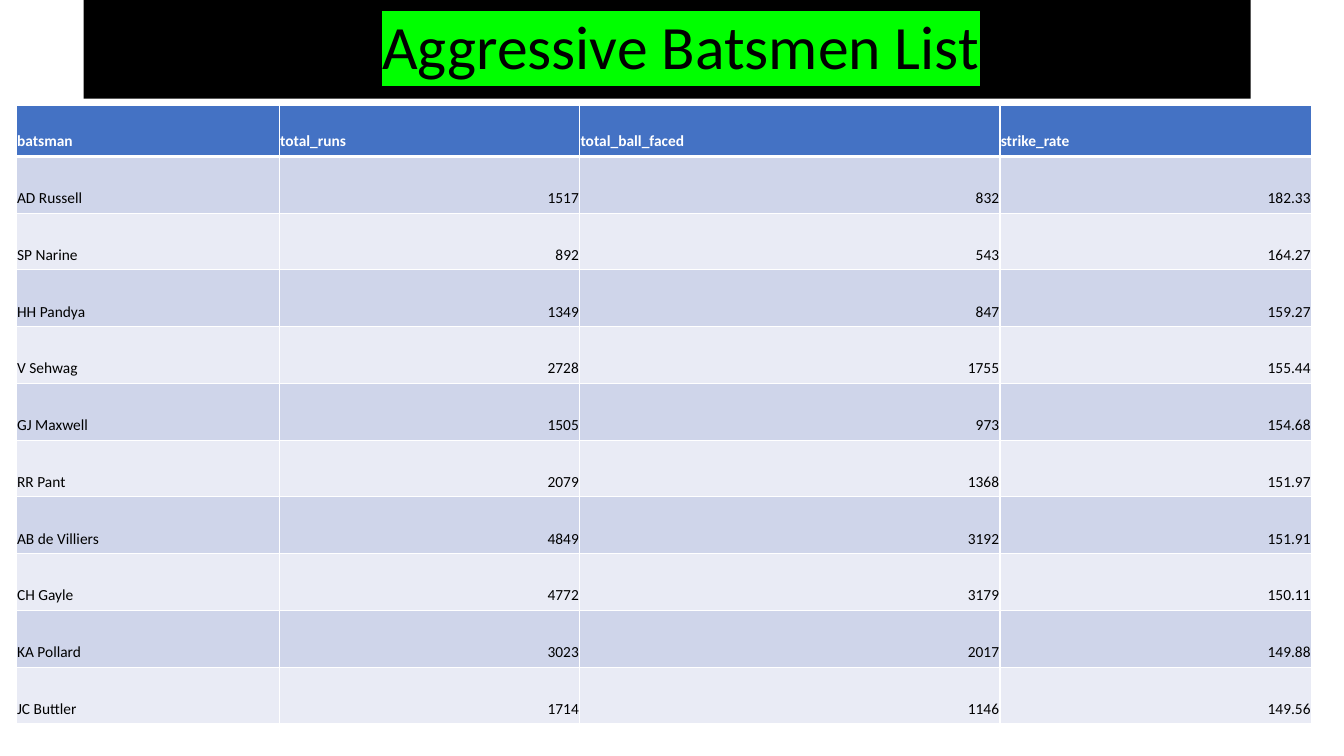
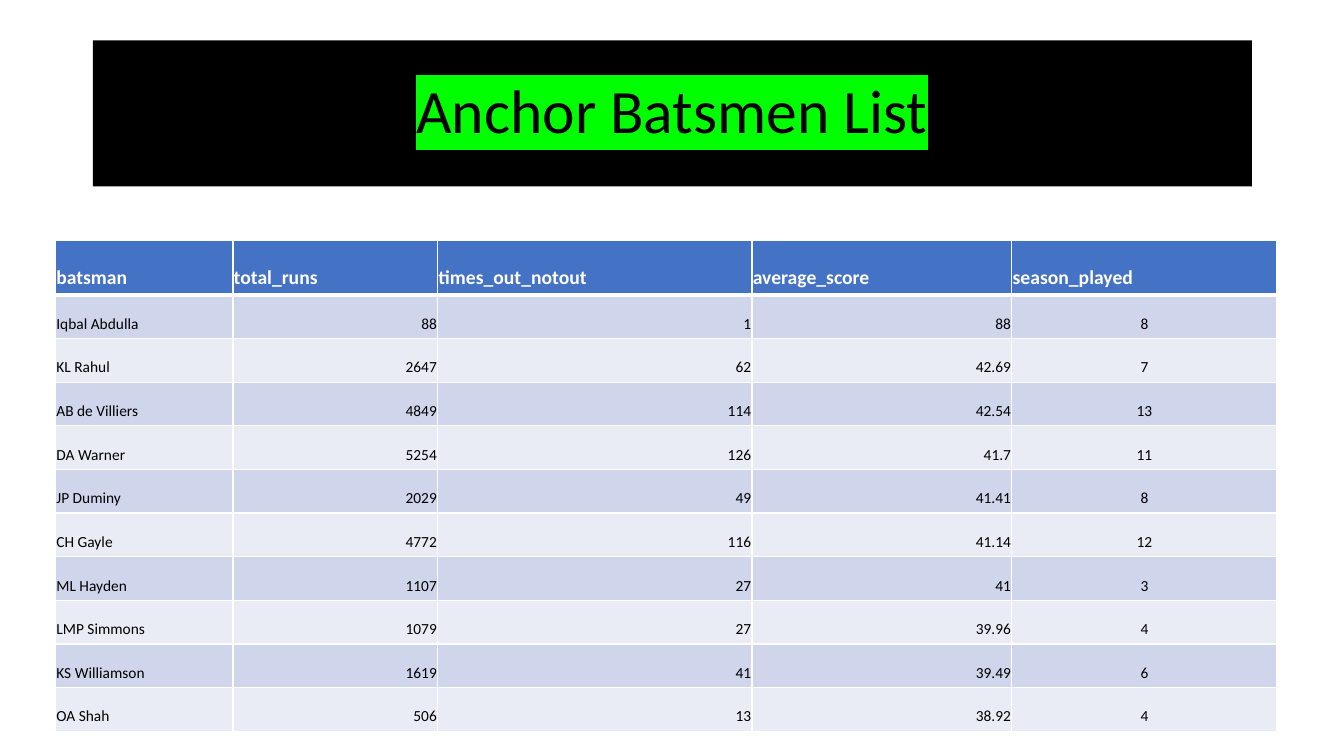
from lxml import etree
from pptx import Presentation
from pptx import util as u
from pptx.dml.color import RGBColor
from pptx.enum import shapes, text
from pptx.oxml import ns

# Shared look
BLACK = RGBColor(0x00, 0x00, 0x00)
WHITE = RGBColor(0xFF, 0xFF, 0xFF)
HIGHLIGHT = RGBColor(0x00, 0xFF, 0x00)
HEADER = RGBColor(0x44, 0x72, 0xC4)
BANDS = (RGBColor(0xCF, 0xD5, 0xEA), RGBColor(0xE9, 0xEB, 0xF5))

LEFT, CENTER, RIGHT = (text.PP_ALIGN.LEFT, text.PP_ALIGN.CENTER,
                       text.PP_ALIGN.RIGHT)
TITLE_FONT = {"name": "Calibri", "size": u.Pt(44), "bold": False}
HEADER_FONT = {"name": "Calibri", "bold": True}
BODY_FONT = {"name": "Calibri", "size": u.Pt(11), "bold": False}
CELL_FORMAT = {
    "vertical_anchor": text.MSO_ANCHOR.BOTTOM,
    "margin_left": u.Cm(0.02), "margin_right": u.Cm(0.02),
    "margin_top": u.Cm(0.02), "margin_bottom": u.Cm(0.13),
}
PLAIN_TABLE = {"first_row": False, "horz_banding": False}
THIN, THICK = u.Pt(1), u.Pt(3)

# Content
AGGRESSIVE = (
    ("batsman", "total_runs", "total_ball_faced", "strike_rate"),
    ("AD Russell", "1517", "832", "182.33"),
    ("SP Narine", "892", "543", "164.27"),
    ("HH Pandya", "1349", "847", "159.27"),
    ("V Sehwag", "2728", "1755", "155.44"),
    ("GJ Maxwell", "1505", "973", "154.68"),
    ("RR Pant", "2079", "1368", "151.97"),
    ("AB de Villiers", "4849", "3192", "151.91"),
    ("CH Gayle", "4772", "3179", "150.11"),
    ("KA Pollard", "3023", "2017", "149.88"),
    ("JC Buttler", "1714", "1146", "149.56"),
)
ANCHOR = (
    ("batsman", "total_runs", "times_out_notout", "average_score",
     "season_played"),
    ("Iqbal Abdulla", "88", "1", "88", "8"),
    ("KL Rahul", "2647", "62", "42.69", "7"),
    ("AB de Villiers", "4849", "114", "42.54", "13"),
    ("DA Warner", "5254", "126", "41.7", "11"),
    ("JP Duminy", "2029", "49", "41.41", "8"),
    ("CH Gayle", "4772", "116", "41.14", "12"),
    ("ML Hayden", "1107", "27", "41", "3"),
    ("LMP Simmons", "1079", "27", "39.96", "4"),
    ("KS Williamson", "1619", "41", "39.49", "6"),
    ("OA Shah", "506", "13", "38.92", "4"),
)


def apply(target, values):
    for attribute, value in values.items():
        setattr(target, attribute, value)


def write(paragraph, words, font, color, align):
    paragraph.alignment = align
    run = paragraph.add_run()
    run.text = words
    apply(run.font, font)
    run.font.color.rgb = color
    return run


def highlight(run, color):
    mark = etree.Element(ns.qn("a:highlight"))
    etree.SubElement(mark, ns.qn("a:srgbClr"), val=str(color))
    # The schema places the highlight right after the text fill
    run.font._element.find(ns.qn("a:solidFill")).addnext(mark)


def add_title_band(slide, words, box, indent=0):
    band = slide.shapes.add_shape(shapes.MSO_SHAPE.RECTANGLE,
                                  *(u.Cm(length) for length in box))
    band.shadow.inherit = False
    band.fill.solid()
    band.fill.fore_color.rgb = BLACK
    band.line.fill.background()
    apply(band.text_frame, {
        "word_wrap": True, "vertical_anchor": text.MSO_ANCHOR.MIDDLE,
        "margin_left": u.Cm(0.25 + indent), "margin_right": u.Cm(0.25)})
    heading = band.text_frame.paragraphs[0]
    heading.line_spacing = 0.9
    highlight(write(heading, words, TITLE_FONT, BLACK, CENTER), HIGHLIGHT)


def add_borders(cell, top, bottom):
    properties = cell._tc.get_or_add_tcPr()
    for side, width in (("L", THIN), ("R", THIN), ("T", top), ("B", bottom)):
        line = etree.SubElement(properties, ns.qn("a:ln" + side),
                                w=str(int(width)))
        paint = etree.SubElement(line, ns.qn("a:solidFill"))
        etree.SubElement(paint, ns.qn("a:srgbClr"), val=str(WHITE))


def fill_cell(cell, words, font, color, align, fill, top, bottom):
    apply(cell, CELL_FORMAT)
    add_borders(cell, top, bottom)
    cell.fill.solid()
    cell.fill.fore_color.rgb = fill
    write(cell.text_frame.paragraphs[0], words, font, color, align)


def add_batsmen(slide, records, corner, widths, heights, header_size, aligns):
    header_height, row_height = heights
    total = header_height + row_height * (len(records) - 1)
    batsmen = slide.shapes.add_table(
        len(records), len(widths), *(u.Cm(length) for length in corner),
        u.Cm(sum(widths)), u.Cm(total)).table
    apply(batsmen, PLAIN_TABLE)
    for column, width in zip(batsmen.columns, widths):
        column.width = u.Cm(width)
    for index, record in enumerate(records):
        is_header = index == 0
        batsmen.rows[index].height = u.Cm(
            header_height if is_header else row_height)
        for column, words in enumerate(record):
            cell = batsmen.cell(index, column)
            if is_header:
                fill_cell(cell, words,
                          {**HEADER_FONT, "size": u.Pt(header_size)},
                          WHITE, LEFT, HEADER, THIN, THICK)
            else:
                fill_cell(cell, words, BODY_FONT, BLACK, aligns[column],
                          BANDS[(index - 1) % 2],
                          THICK if index == 1 else THIN, THIN)


def main():
    deck = Presentation()
    apply(deck, {"slide_width": u.Cm(33.87), "slide_height": u.Cm(19.05)})
    blank = deck.slide_layouts[6]

    # Aggressive batsmen
    aggressive = deck.slides.add_slide(blank)
    add_batsmen(aggressive, AGGRESSIVE, (0.41, 2.65),
                (6.63, 7.57, 10.59, 7.85), (1.29, 1.43), 11,
                (LEFT, RIGHT, RIGHT, RIGHT))
    add_title_band(aggressive, "Aggressive Batsmen List",
                   (2.11, 0, 29.41, 2.49), indent=0.7)

    # Anchor batsmen
    anchor = deck.slides.add_slide(blank)
    add_title_band(anchor, "Anchor Batsmen List", (2.34, 1.02, 29.21, 3.68))
    add_batsmen(anchor, ANCHOR, (1.4, 6.05),
                (4.47, 5.16, 7.92, 6.55, 6.68), (1.38, 1.1), 14,
                (LEFT, RIGHT, RIGHT, RIGHT, CENTER))

    deck.save("out.pptx")


main()
